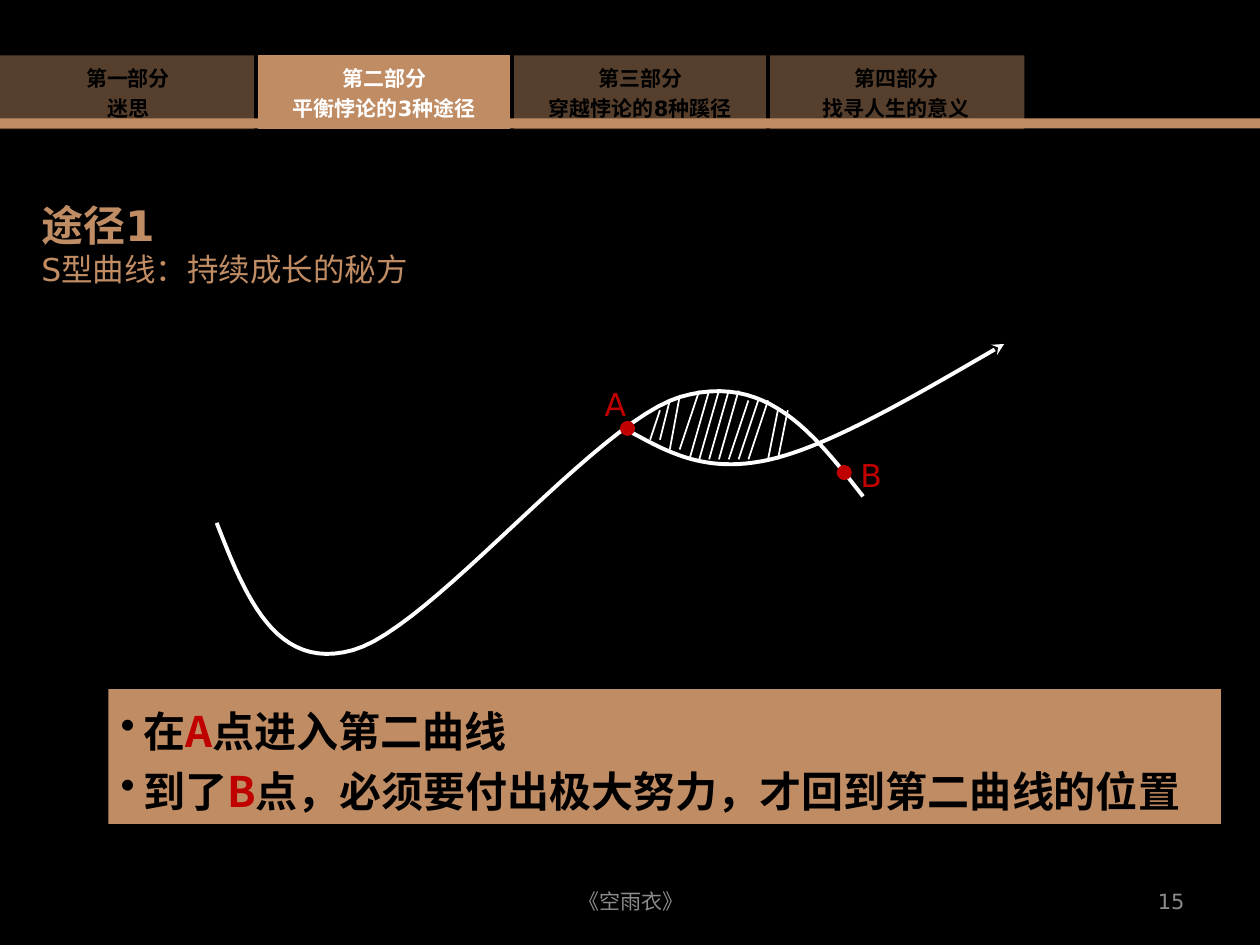
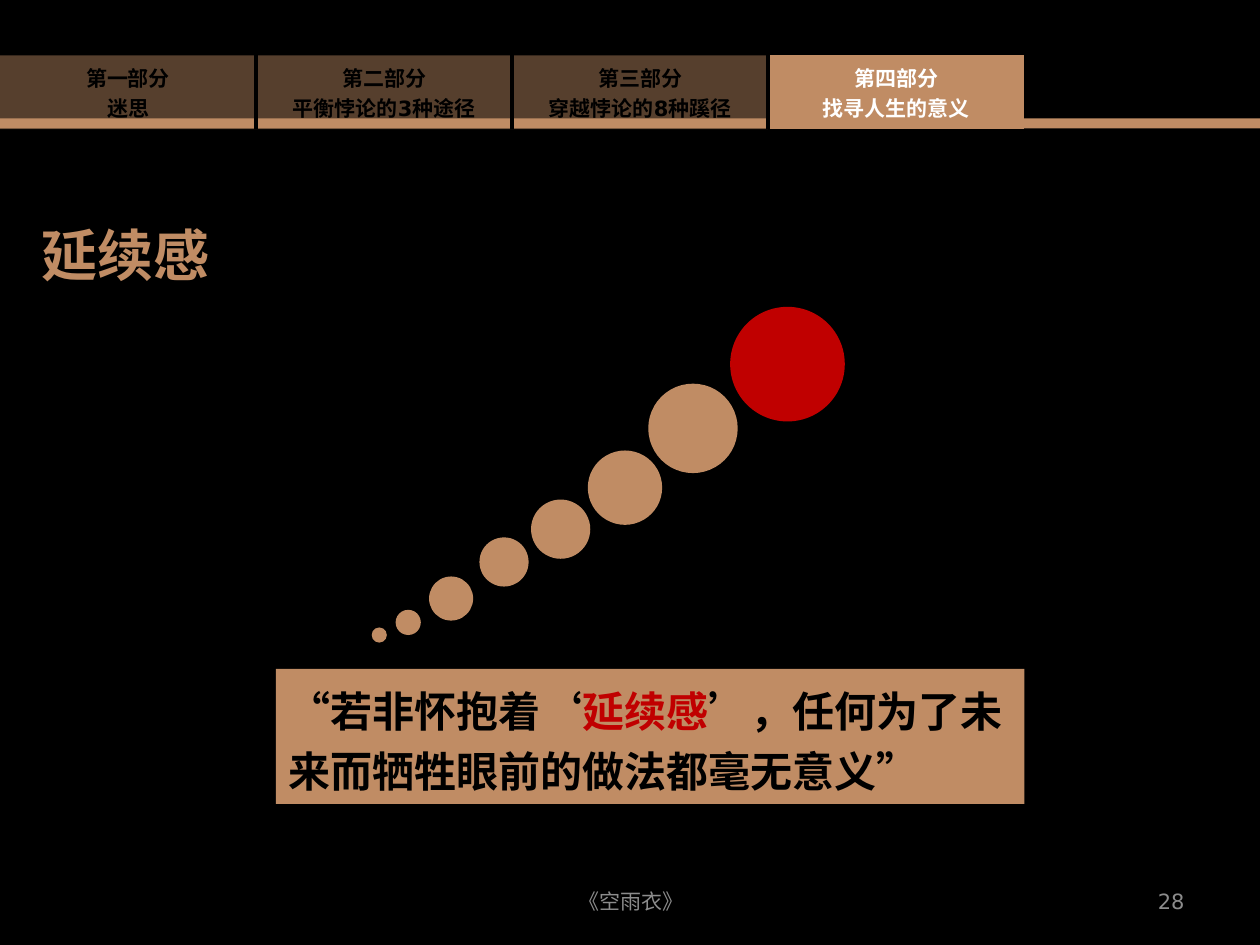
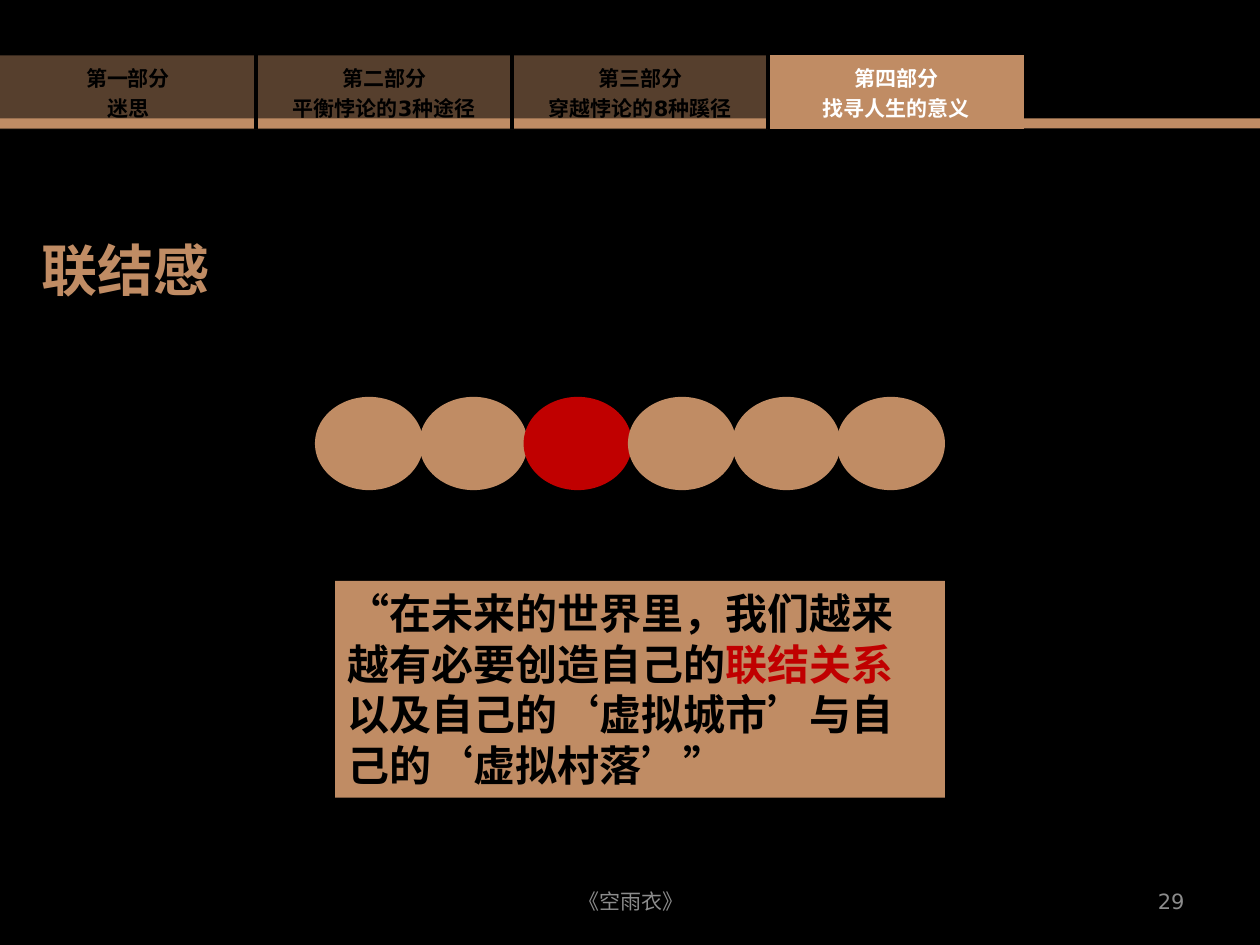
from lxml import etree
from pptx import Presentation
from pptx.dml.color import RGBColor
from pptx.enum.shapes import MSO_CONNECTOR, MSO_SHAPE
from pptx.enum.text import MSO_ANCHOR, PP_ALIGN
from pptx.oxml.ns import qn
from pptx.util import Inches, Pt

LINE = MSO_CONNECTOR.STRAIGHT
OVAL, RECTANGLE = MSO_SHAPE.OVAL, MSO_SHAPE.RECTANGLE
MIDDLE, BOTTOM, TOP = MSO_ANCHOR.MIDDLE, MSO_ANCHOR.BOTTOM, MSO_ANCHOR.TOP
LEFT, CENTER, RIGHT = PP_ALIGN.LEFT, PP_ALIGN.CENTER, PP_ALIGN.RIGHT

WIDTH, HEIGHT = 10, 7.5
BLACK, WHITE, TAN, RED, GRAY = "000000", "FFFFFF", "C08C64", "C00000", "8C8C8C"
LATIN, CHINESE = "DejaVu Sans", "Noto Sans CJK SC"
BOOK = "《空雨衣》"
PARTS = [
    ("第一部分", "迷思"),
    ("第二部分", "平衡悖论的3种途径"),
    ("第三部分", "穿越悖论的8种蹊径"),
    ("第四部分", "找寻人生的意义"),
]
TAB_TOP, TAB_WIDTH, TAB_HEIGHT = 0.44, 8.13, 0.5
BORDER_WIDTH = 2.25
TITLE_LEFT, TITLE_WIDTH = 0.23, 6.8

# Both curves: start point, then cubic segments, relative to the figure box
FIRST_CURVE = [(0, 1.42),
               (0.23, 2.01), (0.47, 2.6), (1.08, 2.43),
               (1.7, 2.26), (3.01, 0.62), (3.68, 0.42),
               (4.36, 0.22), (4.74, 0.71), (5.13, 1.21)]
SECOND_CURVE = [(3.27, 0.69),
                (3.58, 0.86), (3.88, 1.03), (4.38, 0.92),
                (4.87, 0.81), (5.56, 0.4), (6.25, 0)]
# Hatching: from column, row to column, row of a fine grid
HATCH_LEFT, HATCH_TOP, HATCH_STEP = 3.44, 0.37, 0.078
HATCHES = [(1, 2, 0, 5), (2, 1, 1, 5), (3, 0.6, 2, 6), (5, 0, 3, 6), (6, 0, 4, 7),
           (7, 0, 5, 7), (8, 0, 6, 7), (9, 0, 7, 7), (10, 1, 8, 7), (11, 1, 9, 7),
           (12, 1, 10, 7), (13, 2, 12, 7), (14, 2, 13, 7)]
# Name, dot centre, label corner
POINTS = [("A", (3.26, 0.67), (2.98, 0.28)), ("B", (4.98, 1.02), (5.01, 0.84))]
# Centre x, centre y, diameter
GROWING_CIRCLES = [(0.06, 2.61, 0.12), (0.29, 2.51, 0.2), (0.63, 2.32, 0.35),
                   (1.05, 2.03, 0.39), (1.5, 1.77, 0.47), (2.01, 1.44, 0.59),
                   (2.55, 0.97, 0.71), (3.3, 0.46, 0.91)]


def color(value):
    return RGBColor.from_string(value)


def inches(*values):
    return [Inches(value) for value in values]


def add_run(paragraph, text, size, fill, bold=False, latin=LATIN):
    run = paragraph.add_run()
    run.text = text
    for name, value in {"size": Pt(size), "bold": bold, "name": latin}.items():
        setattr(run.font, name, value)
    run.font.color.rgb = color(fill)
    east_asian = etree.SubElement(run.font._element, qn("a:ea"))
    east_asian.set("typeface", CHINESE)


def write_lines(frame, lines, align=LEFT):
    """Fill a text frame; each line is (text, size, colour, bold)."""
    for index, line in enumerate(lines):
        paragraph = frame.add_paragraph() if index else frame.paragraphs[0]
        paragraph.alignment = align
        add_run(paragraph, *line)


def add_text(slide, box, lines, align=LEFT, anchor=TOP, wrap=True):
    frame = slide.shapes.add_textbox(*inches(*box)).text_frame
    frame.word_wrap = wrap
    frame.vertical_anchor = anchor
    write_lines(frame, lines, align)


def add_filled(slide, kind, box, fill):
    shape = slide.shapes.add_shape(kind, *inches(*box))
    shape.shadow.inherit = False
    shape.fill.solid()
    shape.fill.fore_color.rgb = color(fill)
    shape.line.fill.background()
    return shape


def add_circle(slide, center_x, center_y, diameter, fill):
    radius = diameter / 2
    add_filled(slide, OVAL, (center_x - radius, center_y - radius, diameter, diameter), fill)


def add_bar(slide):
    add_filled(slide, RECTANGLE, (0, 0.94, WIDTH, 0.08), TAN)


def set_borders(cell, visible):
    """Black lines on the visible sides, none on the others."""
    properties = cell._tc.get_or_add_tcPr()
    for position, side in enumerate(("lnL", "lnR", "lnT", "lnB")):
        border = etree.Element(qn(f"a:{side}"), w=str(Pt(BORDER_WIDTH)))
        if side in visible:
            fill = etree.SubElement(border, qn("a:solidFill"))
            etree.SubElement(fill, qn("a:srgbClr"), val=BLACK)
        else:
            etree.SubElement(border, qn("a:noFill"))
        properties.insert(position, border)


def add_tabs(slide, active):
    """Part navigation with the active part lit."""
    table = slide.shapes.add_table(
        1, len(PARTS), *inches(0, TAB_TOP, TAB_WIDTH, TAB_HEIGHT)).table
    table.first_row = table.horz_banding = False
    for index, part in enumerate(PARTS):
        cell = table.cell(0, index)
        cell.vertical_anchor = MIDDLE
        cell.fill.solid()
        cell.fill.fore_color.rgb = color(TAN)
        if index != active:
            tint = cell._tc.tcPr.find(".//" + qn("a:srgbClr"))
            etree.SubElement(tint, qn("a:alpha"), val="45000")
        inner_sides = {"lnL": index > 0, "lnR": index < len(PARTS) - 1}
        set_borders(cell, [side for side, inner in inner_sides.items() if inner])
        text_color = WHITE if index == active else BLACK
        write_lines(cell.text_frame, [(text, 12, text_color, True) for text in part], CENTER)


def add_footer(slide, number):
    top, height = 6.95, 0.4
    add_text(slide, (3.42, top, 3.17, height), [(BOOK, 12, GRAY)], CENTER, MIDDLE)
    add_text(slide, (7.17, top, 2.33, height), [(str(number), 12, GRAY)], RIGHT, MIDDLE)


def add_title(slide, bottom, lines):
    height = 0.94
    add_text(slide, (TITLE_LEFT, bottom - height, TITLE_WIDTH, height), lines, anchor=BOTTOM)


def start_slide(presentation, active, number, bar_in_front=False):
    slide = presentation.slides.add_slide(presentation.slide_layouts[6])
    slide.background.fill.solid()
    slide.background.fill.fore_color.rgb = color(BLACK)
    if not bar_in_front:
        add_bar(slide)
    add_tabs(slide, active)
    if bar_in_front:
        add_bar(slide)
    add_footer(slide, number)
    return slide


def add_panel(slide, box, texts, spacing, bullets=False):
    """Tan panel; words between asterisks are red."""
    frame = add_filled(slide, RECTANGLE, box, TAN).text_frame
    frame.word_wrap = True
    frame.vertical_anchor = TOP
    for index, text in enumerate(texts):
        paragraph = frame.add_paragraph() if index else frame.paragraphs[0]
        paragraph.alignment = LEFT
        paragraph.line_spacing = Pt(spacing)
        if bullets:
            properties = paragraph._p.get_or_add_pPr()
            indent = Inches(0.18)
            properties.set("marL", str(indent))
            properties.set("indent", str(-indent))
            etree.SubElement(properties, qn("a:buChar"), char="•")
        for position, piece in enumerate(text.split("*")):
            add_run(paragraph, piece, 24, RED if position % 2 else BLACK, True, CHINESE)


def curve_points(points, steps=24):
    """Sample a chain of cubic Bézier segments."""
    sampled = [points[0]]
    for first in range(0, len(points) - 1, 3):
        corners = points[first:first + 4]
        for step in range(1, steps + 1):
            t = step / steps
            weights = ((1 - t) ** 3, 3 * t * (1 - t) ** 2, 3 * t * t * (1 - t), t ** 3)
            sampled.append(tuple(sum(weight * corner[axis] for weight, corner
                                     in zip(weights, corners)) for axis in (0, 1)))
    return sampled


def add_curve(slide, left, top, points, arrow=False):
    start, *rest = [inches(left + x, top + y) for x, y in curve_points(points)]
    builder = slide.shapes.build_freeform(*start)
    builder.add_line_segments(rest, close=False)
    shape = builder.convert_to_shape()
    shape.shadow.inherit = False
    shape.fill.background()
    shape.line.color.rgb = color(WHITE)
    shape.line.width = Pt(2.25)
    if arrow:
        etree.SubElement(shape.line._get_or_add_ln(), qn("a:tailEnd"), type="stealth")


def add_hatching(slide, left, top):
    for from_column, from_row, to_column, to_row in HATCHES:
        ends = [left + from_column * HATCH_STEP, top + from_row * HATCH_STEP,
                left + to_column * HATCH_STEP, top + to_row * HATCH_STEP]
        connector = slide.shapes.add_connector(LINE, *inches(*ends))
        connector.line.color.rgb = color(WHITE)
        connector.line.width = Pt(1)
        etree.SubElement(connector._element.spPr, qn("a:effectLst"))


def add_s_curves(slide, left, top):
    add_curve(slide, left, top, FIRST_CURVE)
    add_curve(slide, left, top, SECOND_CURVE, arrow=True)
    add_hatching(slide, left + HATCH_LEFT, top + HATCH_TOP)
    for name, (dot_x, dot_y), (label_x, label_y) in POINTS:
        add_circle(slide, left + dot_x, top + dot_y, 0.12, RED)
        add_text(slide, (left + label_x, top + label_y, 0.38, 0.4),
                 [(name, 18, RED)], wrap=False)


def add_growing_circles(slide, left, top):
    for center_x, center_y, diameter in GROWING_CIRCLES:
        fill = RED if diameter == GROWING_CIRCLES[-1][2] else TAN
        add_circle(slide, left + center_x, top + center_y, diameter, fill)


def add_linked_ovals(slide, left, top, width, height, count=6, highlighted=2):
    oval_width = 0.86
    step = (width - oval_width) / (count - 1)
    for index in range(count):
        add_filled(slide, OVAL, (left + index * step, top, oval_width, height),
                   RED if index == highlighted else TAN)


def build_curve_slide(presentation):
    slide = start_slide(presentation, active=1, number=15, bar_in_front=True)
    add_title(slide, 2.33, [("途径1", 24, TAN, True), ("S型曲线：持续成长的秘方", 18, TAN)])
    add_s_curves(slide, 1.72, 2.73)
    add_panel(slide, (0.86, 5.47, 8.83, 1.07),
              ["在*A*点进入第二曲线", "到了*B*点，必须要付出极大努力，才回到第二曲线的位置"],
              34.5, bullets=True)


def build_continuity_slide(presentation):
    slide = start_slide(presentation, active=3, number=28)
    add_title(slide, 2.33, [("延续感", 32, TAN, True)])
    add_growing_circles(slide, 2.95, 2.43)
    add_panel(slide, (2.19, 5.31, 5.94, 1.07),
              ["“若非怀抱着‘*延续感*’，任何为了未来而牺牲眼前的做法都毫无意义”"], 34.5)


def build_connection_slide(presentation):
    slide = start_slide(presentation, active=3, number=29)
    add_title(slide, 2.45, [("联结感", 32, TAN, True)])
    add_linked_ovals(slide, 2.5, 3.15, 5, 0.74)
    add_panel(slide, (2.66, 4.61, 4.84, 1.72),
              ["“在未来的世界里，我们越来越有必要创造自己的*联结关系*"
               "以及自己的‘虚拟城市’与自己的‘虚拟村落’”"], 29)


def main():
    presentation = Presentation()
    presentation.slide_width, presentation.slide_height = inches(WIDTH, HEIGHT)
    build_curve_slide(presentation)
    build_continuity_slide(presentation)
    build_connection_slide(presentation)
    presentation.save("out.pptx")


if __name__ == "__main__":
    main()
